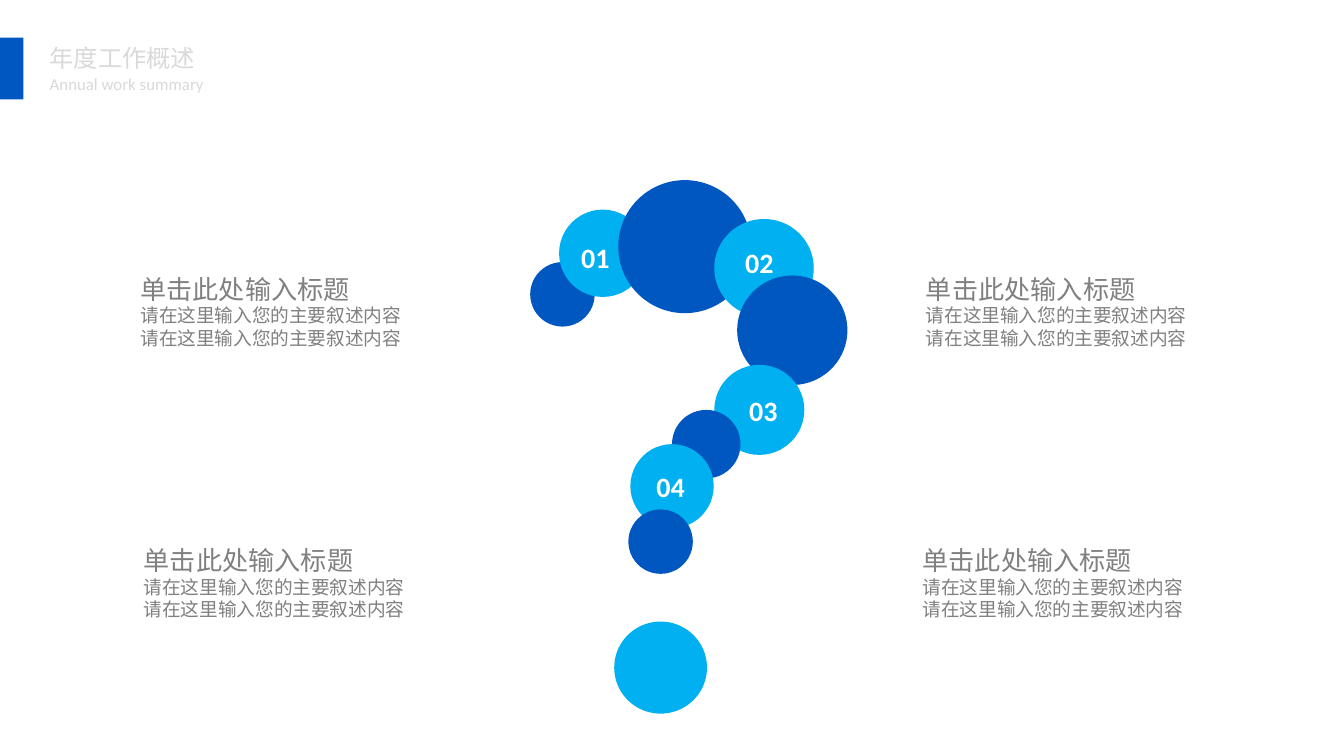
from typing import NamedTuple

from pptx import Presentation
from pptx.dml.color import RGBColor
from pptx.enum.shapes import MSO_SHAPE
from pptx.enum.text import MSO_ANCHOR, MSO_AUTO_SIZE, PP_ALIGN
from pptx.oxml.ns import qn
from pptx.util import Pt
from lxml.etree import SubElement

PX = 4572  # EMU per px, 200 px to the inch

DARK_BLUE = RGBColor(0x00, 0x57, 0xC0)
LIGHT_BLUE = RGBColor(0x00, 0xB0, 0xF0)
WHITE = RGBColor(0xFF, 0xFF, 0xFF)
PALE_GRAY = RGBColor(0xD9, 0xD9, 0xD9)
GRAY = RGBColor(0x80, 0x80, 0x80)

LATIN_FONT = "Calibri"
CHINESE_FONT = "Noto Sans CJK SC"


class Box(NamedTuple):
    left: int
    top: int
    width: int
    height: int

    def emu(self) -> list[int]:
        return [length * PX for length in self]


class Line(NamedTuple):
    text: str
    size: int


# Circles from back to front, alternating dark and light
CIRCLES = [
    Box(789, 390, 96, 96),
    Box(832, 312, 130, 130),
    Box(920, 268, 198, 198),
    Box(1063, 326, 148, 146),
    Box(1097, 410, 164, 163),
    Box(1063, 543, 134, 134),
    Box(1000, 610, 102, 102),
    Box(938, 661, 124, 125),
    Box(935, 758, 96, 96),
    Box(914, 925, 138, 137),
]
NUMBER_CORNERS = [(820, 348), (1064, 356), (1070, 576), (932, 689)]
CONTENT_CORNERS = [(193, 398), (1357, 802), (198, 802), (1362, 398)]
CONTENT = [
    Line("单击此处输入标题", 14),
    Line("请在这里输入您的主要叙述内容", 10),
    Line("请在这里输入您的主要叙述内容", 10),
]


def write_text(shape, lines: list[Line], *, color: RGBColor, font: str = CHINESE_FONT,
               bold: bool = False, align: PP_ALIGN = PP_ALIGN.LEFT,
               margins: tuple[int, int] = (16, 8), wrap: bool = False) -> None:
    """Fill a shape with one paragraph per line; margins are horizontal, vertical px."""
    frame = shape.text_frame
    frame.auto_size = MSO_AUTO_SIZE.NONE
    frame.word_wrap = wrap
    frame.vertical_anchor = MSO_ANCHOR.TOP
    frame.margin_left = frame.margin_right = margins[0] * PX
    frame.margin_top = frame.margin_bottom = margins[1] * PX
    for index, line in enumerate(lines):
        paragraph = frame.paragraphs[0] if index == 0 else frame.add_paragraph()
        paragraph.alignment = align
        paragraph.line_spacing = 1.0
        paragraph.space_before = paragraph.space_after = Pt(0)
        run = paragraph.add_run()
        run.text = line.text
        run.font.name = font
        run.font.size = Pt(line.size)
        run.font.bold = bold
        run.font.color.rgb = color
        SubElement(run.font._element, qn("a:ea"), typeface=font)


def add_filled_shape(shapes, kind: MSO_SHAPE, box: Box, color: RGBColor) -> None:
    shape = shapes.add_shape(kind, *box.emu())
    shape.shadow.inherit = False
    shape.fill.solid()
    shape.fill.fore_color.rgb = color
    shape.line.fill.background()


def add_header(slide) -> None:
    title = slide.shapes.title
    title.left, title.top, title.width, title.height = Box(58, 56, 250, 58).emu()
    write_text(title, [Line("年度工作概述", 13)], color=PALE_GRAY)
    subtitle = slide.shapes.add_textbox(*Box(58, 102, 262, 46).emu())
    write_text(subtitle, [Line("Annual work summary", 9)], color=PALE_GRAY, font=LATIN_FONT)
    add_filled_shape(slide.shapes, MSO_SHAPE.RECTANGLE, Box(0, 56, 35, 92), DARK_BLUE)


def add_question_mark(slide) -> None:
    group = slide.shapes.add_group_shape()
    for index, box in enumerate(CIRCLES):
        color = LIGHT_BLUE if index % 2 else DARK_BLUE
        add_filled_shape(group.shapes, MSO_SHAPE.OVAL, box, color)
    for number, (left, top) in enumerate(NUMBER_CORNERS, start=1):
        label = group.shapes.add_textbox(*Box(left, top, 132, 72).emu())
        write_text(label, [Line(f"{number:02}", 15)], color=WHITE, font=LATIN_FONT,
                   bold=True, align=PP_ALIGN.CENTER, margins=(20, 10), wrap=True)


def add_content(slide) -> None:
    for left, top in CONTENT_CORNERS:
        text_box = slide.shapes.add_textbox(*Box(left, top, 424, 196).emu())
        write_text(text_box, CONTENT, color=GRAY)


def main() -> None:
    presentation = Presentation()
    presentation.slide_width = 2000 * PX
    presentation.slide_height = 1125 * PX
    title_only = presentation.slide_layouts[5]
    slide = presentation.slides.add_slide(title_only)
    add_header(slide)
    add_question_mark(slide)
    add_content(slide)
    presentation.save("out.pptx")


if __name__ == "__main__":
    main()
